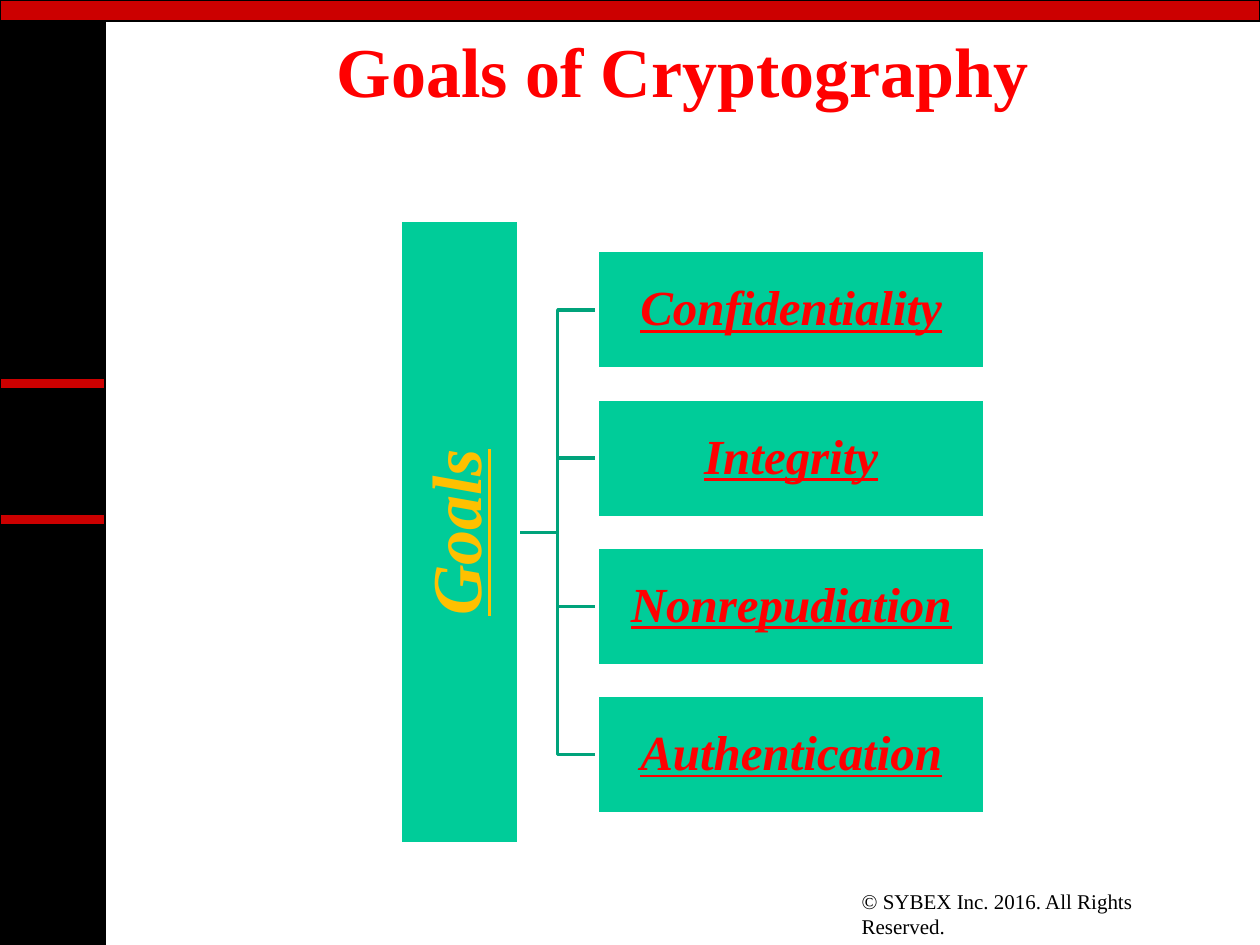
"""Build the Goals of Cryptography slide with its goal tree."""
from pptx import Presentation
from pptx.dml.color import RGBColor
from pptx.enum.shapes import MSO_SHAPE
from pptx.enum.text import MSO_ANCHOR as Anchor, PP_ALIGN as Align
from pptx.util import Pt

TITLE = "Goals of Cryptography"
ROOT = "Goals"
GOALS = ["Confidentiality", "Integrity", "Nonrepudiation", "Authentication"]
COPYRIGHT = "© SYBEX Inc. 2016. All Rights Reserved."
FONT = "Times New Roman"
BLACK, WHITE, RED, BAR_RED = "000000", "FFFFFF", "FF0000", "CC0000"
GREEN, BRANCH, GOLD = "00CC99", "00A37B", "FFC000"

FRAME = [
    (0, 0, 60, 540, BLACK),
    (0, 294, 60, 6, BAR_RED),
    (0, 0, 720, 12, BAR_RED),
    (0, 216, 60, 6, BAR_RED),
]
BOX_HEIGHT, BOX_WIDTH, BOX_LEFT = 67.7, 221.8, 341.2
FIRST_TOP, PITCH = 143.3, 84.7
ROOT_LENGTH, ROOT_CENTER = 356.4, 262.4


def color(value):
    return RGBColor.from_string(value)


def add_box(slide, left, top, width, height, fill, line, weight):
    shape = slide.shapes.add_shape(
        MSO_SHAPE.RECTANGLE, Pt(left), Pt(top), Pt(width), Pt(height))
    shape.shadow.inherit = False
    shape.fill.solid()
    shape.fill.fore_color.rgb = color(fill)
    shape.line.color.rgb = color(line)
    shape.line.width = Pt(weight)
    return shape


def write(shape, text, size, ink, align=Align.CENTER, anchor=Anchor.MIDDLE,
          bold=False, italic=False, underline=False, spacing=None, inset=None):
    frame = shape.text_frame
    frame.word_wrap = True
    frame.vertical_anchor = anchor
    if inset is not None:
        frame.margin_left = frame.margin_right = Pt(inset)
        frame.margin_top = frame.margin_bottom = Pt(inset)
    paragraph = frame.paragraphs[0]
    paragraph.alignment = align
    if spacing:
        paragraph.line_spacing = spacing
    run = paragraph.add_run()
    run.text = text
    font = run.font
    font.name, font.size, font.color.rgb = FONT, Pt(size), color(ink)
    font.bold, font.italic, font.underline = bold, italic, underline


def add_label(slide, left, top, width, height, text, **style):
    box = slide.shapes.add_textbox(Pt(left), Pt(top), Pt(width), Pt(height))
    write(box, text, **style)


def add_branch(slide, start, end):
    (left, middle), (right, target) = start, end
    elbow = (left + right) / 2
    builder = slide.shapes.build_freeform(Pt(left), Pt(middle))
    points = [(elbow, middle), (elbow, target), (right, target)]
    builder.add_line_segments([(Pt(x), Pt(y)) for x, y in points], close=False)
    branch = builder.convert_to_shape()
    branch.shadow.inherit = False
    branch.fill.background()
    branch.line.color.rgb = color(BRANCH)
    branch.line.width = Pt(2)


def add_tree(slide):
    tops = [FIRST_TOP + PITCH * index for index in range(len(GOALS))]
    middle = (tops[0] + tops[-1] + BOX_HEIGHT) / 2
    root_right = ROOT_CENTER + BOX_HEIGHT / 2
    for top in reversed(tops):
        add_branch(slide, (root_right, middle), (BOX_LEFT, top + BOX_HEIGHT / 2))

    emphasis = dict(bold=True, italic=True, underline=True, spacing=0.9)
    root = add_box(slide, ROOT_CENTER - ROOT_LENGTH / 2, middle - BOX_HEIGHT / 2,
                   ROOT_LENGTH, BOX_HEIGHT, GREEN, WHITE, 2)
    root.rotation = 270
    write(root, ROOT, size=40, ink=GOLD, inset=2, **emphasis)
    for goal, top in zip(GOALS, tops):
        box = add_box(slide, BOX_LEFT, top, BOX_WIDTH, BOX_HEIGHT, GREEN, WHITE, 2)
        write(box, goal, size=28, ink=RED, inset=1.4, **emphasis)


def main():
    presentation = Presentation()
    presentation.slide_width, presentation.slide_height = Pt(720), Pt(540)
    slide = presentation.slides.add_slide(presentation.slide_layouts[6])
    for left, top, width, height, fill in FRAME:
        add_box(slide, left, top, width, height, fill, BLACK, 0.75)
    add_label(slide, 485.3, 504, 211.7, 21.6, COPYRIGHT, size=12, ink=BLACK,
              align=Align.LEFT, anchor=Anchor.TOP)
    add_label(slide, 84, 21.6, 612, 36, TITLE, size=40, ink=RED, bold=True)
    add_tree(slide)
    presentation.save("out.pptx")


if __name__ == "__main__":
    main()
